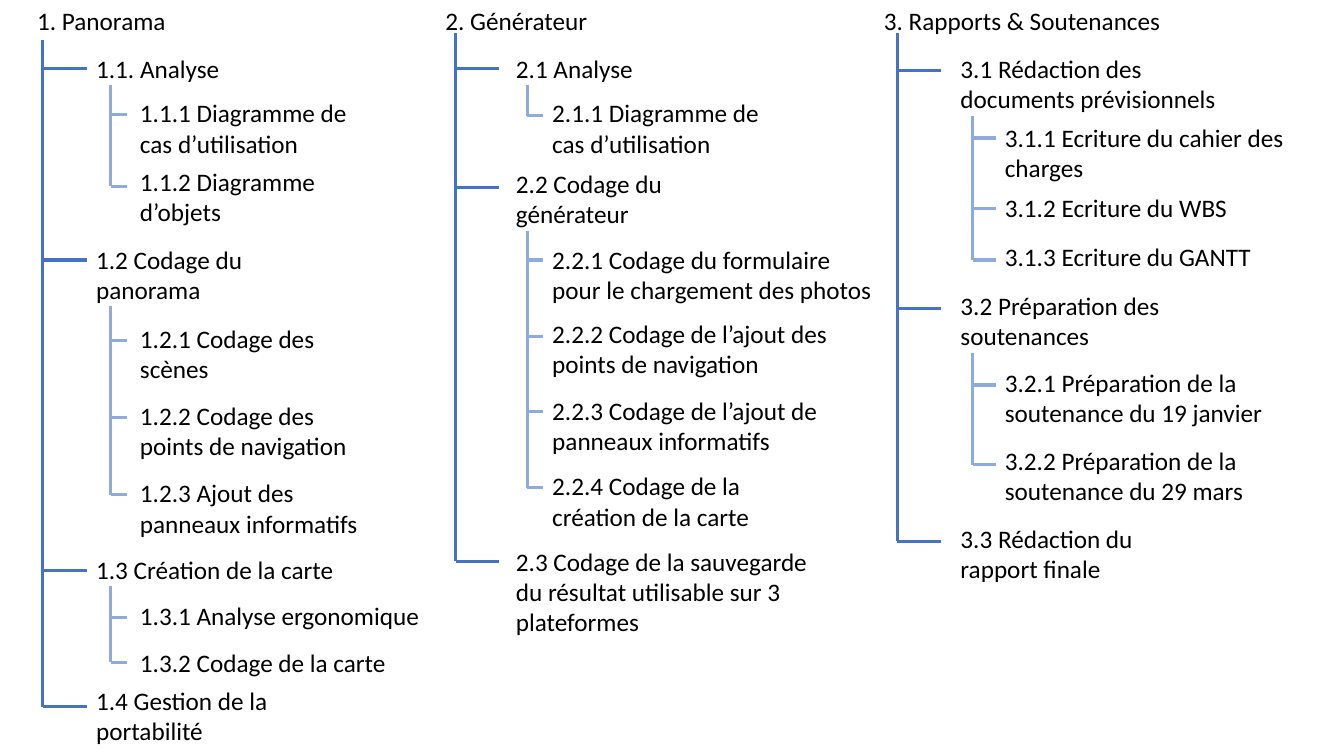
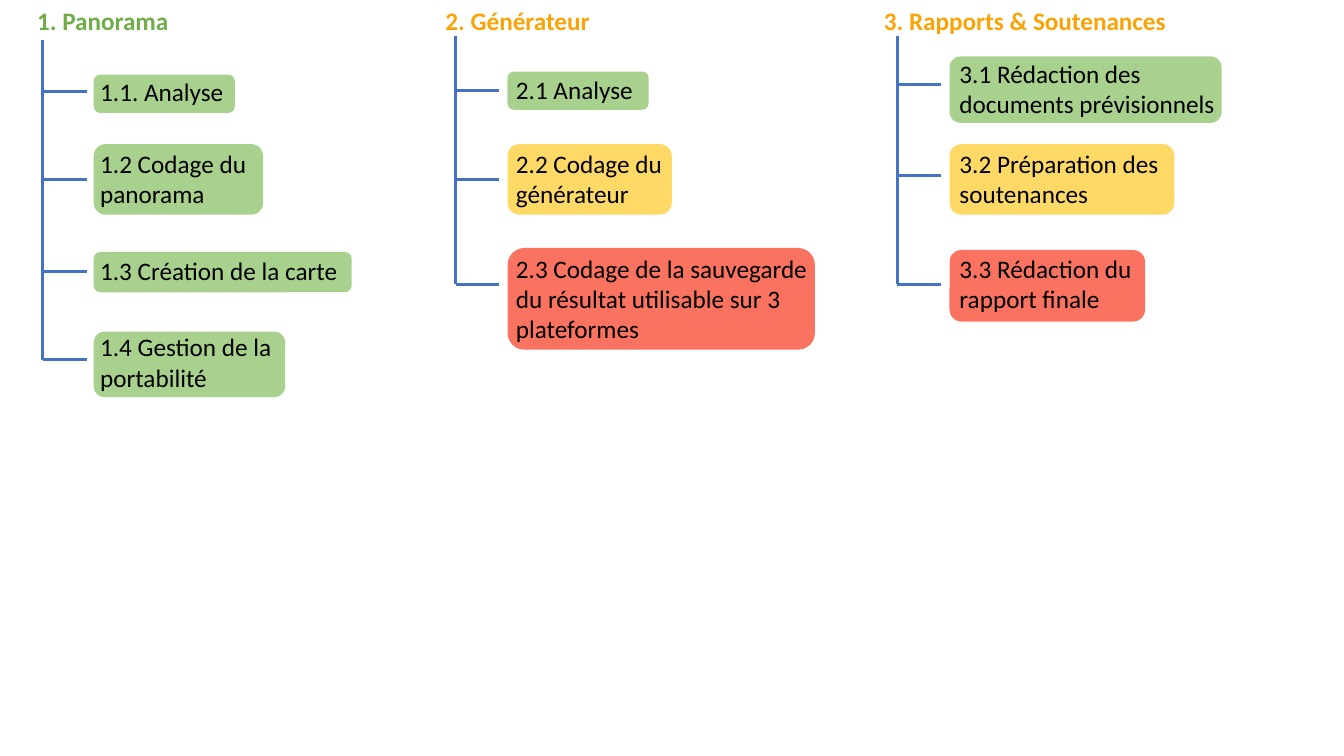
from dataclasses import dataclass

from lxml import etree
from pptx import Presentation
from pptx.dml.color import RGBColor
from pptx.enum.shapes import MSO_CONNECTOR, MSO_SHAPE
from pptx.enum.text import MSO_AUTO_SIZE
from pptx.oxml.ns import qn
from pptx.util import Inches, Pt


@dataclass(frozen=True)
class Theme:
    font: str = "Calibri"
    size: int = 18
    line_width: float = 2.25
    ink: str = "000000"
    trunk: str = "4472C4"
    rail: str = "8FAADC"
    done: str = "A9D18E"
    ongoing: str = "FFD966"
    waiting: str = "FA7260"
    done_title: str = "70AD47"
    ongoing_title: str = "F9A307"


THEME = Theme()

# Grid: square cells, ten to the inch; all lengths below are in cells
CELL = Inches(0.1)
COLUMNS, ROWS = 133.33, 75
MARGIN_ROWS, LINE_ROWS = 1, 3.05
BRANCH = 4.35


def cells(count):
    return round(count * CELL)


def text_rows(lines):
    return MARGIN_ROWS + lines * LINE_ROWS


# Content model
@dataclass(frozen=True)
class Step:
    text: str
    width: float
    lines: int
    top: float
    tick: float


@dataclass(frozen=True)
class Status:
    color: str
    text_top: float
    tick: float
    card_top: float
    card_width: float
    card_height: float


@dataclass(frozen=True)
class Task(Step):
    status: Status
    steps: tuple = ()


@dataclass(frozen=True)
class Phase:
    title: str
    title_color: str
    title_width: float
    left: float
    trunk: float
    trunk_top: float
    status_trunk_top: float
    task_left: float
    status_left: float
    card_left: float
    rail: float
    twig: float
    step_left: float
    tasks: tuple


PHASES = (
    Phase(
        "1. Panorama", THEME.done_title, 16.3, left=2.7,
        trunk=4.25, trunk_top=4, status_trunk_top=4,
        task_left=8.55, status_left=8.95, card_left=9.3,
        rail=11, twig=1.6, step_left=12.9,
        tasks=(
            Task("1.1. Analyse", 21.5, 1, 4.8, 6.8,
                 Status(THEME.done, 7.1, 9.1, 7.4, 14, 3.8), (
                     Step("1.1.1 Diagramme de cas d’utilisation", 22.5, 2, 9.2, 11.4),
                     Step("1.1.2 Diagramme d’objets", 21.1, 2, 16, 18.5))),
            Task("1.2 Codage du panorama", 26.8, 2, 23.7, 25.8,
                 Status(THEME.done, 14.2, 17.8, 14.3, 16.8, 7), (
                     Step("1.2.1 Codage des scènes", 21.5, 2, 31.6, 33.8),
                     Step("1.2.2 Codage des points de navigation", 24.3, 2, 39.2, 41.4),
                     Step("1.2.3 Ajout des panneaux informatifs", 24.3, 2, 46.9, 49.1))),
            Task("1.3 Création de la carte", 29.6, 1, 54.5, 56.6,
                 Status(THEME.done, 24.8, 26.9, 25, 25.6, 4), (
                     Step("1.3.1 Analyse ergonomique", 31, 1, 59.1, 61.3),
                     Step("1.3.2 Codage de la carte", 31, 1, 63.7, 65.7))),
            Task("1.4 Gestion de la portabilité", 28.7, 2, 67.5, 70.1,
                 Status(THEME.done, 32.4, 35.7, 32.9, 19, 6.5)),
        )),
    Phase(
        "2. Générateur", THEME.ongoing_title, 17.2, left=43.2,
        trunk=45.2, trunk_top=3.3, status_trunk_top=3.6,
        task_left=50.2, status_left=50.2, card_left=50.35,
        rail=52.3, twig=1.6, step_left=53.8,
        tasks=(
            Task("2.1 Analyse", 25.6, 1, 4.8, 6.8,
                 Status(THEME.done, 6.9, 9, 7.1, 14, 3.8), (
                     Step("2.1.1 Diagramme de cas d’utilisation", 22.5, 2, 9.2, 11.5),)),
            Task("2.2 Codage du générateur", 20.3, 2, 16.2, 18.6,
                 Status(THEME.ongoing, 14.2, 17.8, 14.3, 16.3, 7), (
                     Step("2.2.1 Codage du formulaire pour le chargement des photos",
                          33.9, 2, 23.7, 25.8),
                     Step("2.2.2 Codage de l’ajout des points de navigation",
                          29.4, 2, 31.1, 33.4),
                     Step("2.2.3 Codage de l’ajout de panneaux informatifs",
                          31.8, 2, 38.7, 40.8),
                     Step("2.2.4 Codage de la création de la carte",
                          29.5, 2, 46.2, 48.4))),
            Task("2.3 Codage de la sauvegarde du résultat utilisable sur 3 plateformes",
                 32.4, 3, 53.7, 55.7,
                 Status(THEME.waiting, 24.6, 28.2, 24.6, 30.5, 10.1)),
        )),
    Phase(
        "3. Rapports & Soutenances", THEME.ongoing_title, 31.2, left=86.7,
        trunk=89, trunk_top=3.3, status_trunk_top=3.6,
        task_left=94.3, status_left=94.2, card_left=94.2,
        rail=96.5, twig=2.35, step_left=98.7,
        tasks=(
            Task("3.1 Rédaction des documents prévisionnels", 29.8, 2, 4.8, 7,
                 Status(THEME.done, 5.3, 8.4, 5.6, 27, 6.6), (
                     Step("3.1.1 Ecriture du cahier des charges", 29.8, 2, 11.6, 13.7),
                     Step("3.1.2 Ecriture du WBS", 29.8, 1, 18.6, 20.7),
                     Step("3.1.3 Ecriture du GANTT", 28.8, 1, 23.4, 25.8))),
            Task("3.2 Préparation des soutenances", 28.8, 2, 28.3, 30.6,
                 Status(THEME.ongoing, 14.2, 17.4, 14.3, 22.3, 7), (
                     Step("3.2.1 Préparation de la soutenance du 19 janvier",
                          28.8, 2, 35.9, 38.2),
                     Step("3.2.2 Préparation de la soutenance du 29 mars",
                          28.8, 2, 43.7, 46.1))),
            Task("3.3 Rédaction du rapport finale", 25.8, 2, 51.4, 53.7,
                 Status(THEME.waiting, 24.6, 28.2, 24.8, 19.4, 7.1)),
        )),
)


class Deck:
    def __init__(self, theme):
        self.theme = theme
        self.file = Presentation()
        self.file.slide_width = cells(COLUMNS)
        self.file.slide_height = cells(ROWS)
        self.slide = None

    def new_slide(self):
        self.slide = self.file.slides.add_slide(self.file.slide_layouts[6])

    def text(self, words, left, top, width, lines=1, color=None, bold=False):
        box = self.slide.shapes.add_textbox(
            cells(left), cells(top), cells(width), cells(text_rows(lines)))
        frame = box.text_frame
        frame.word_wrap = True
        frame.auto_size = MSO_AUTO_SIZE.SHAPE_TO_FIT_TEXT
        run = frame.paragraphs[0].add_run()
        run.text = words
        run.font.name = self.theme.font
        run.font.size = Pt(self.theme.size)
        run.font.bold = bold
        run.font.color.rgb = RGBColor.from_string(color or self.theme.ink)

    def line(self, x1, y1, x2, y2, color):
        line = self.slide.shapes.add_connector(
            MSO_CONNECTOR.STRAIGHT, cells(x1), cells(y1), cells(x2), cells(y2))
        line.line.color.rgb = RGBColor.from_string(color)
        line.line.width = Pt(self.theme.line_width)
        etree.SubElement(line._element.spPr, qn("a:effectLst"))

    def bracket(self, x, top, ticks, length, color):
        """A vertical line down to the last tick, with its ticks."""
        self.line(x, top, x, ticks[-1], color)
        for y in ticks:
            self.line(x, y, x + length, y, color)

    def card(self, left, top, width, height, color):
        card = self.slide.shapes.add_shape(
            MSO_SHAPE.ROUNDED_RECTANGLE,
            cells(left), cells(top), cells(width), cells(height))
        card.shadow.inherit = False
        card.fill.solid()
        card.fill.fore_color.rgb = RGBColor.from_string(color)
        card.line.fill.background()

    def save(self):
        self.file.save("out.pptx")


deck = Deck(THEME)

# Slide 1: full breakdown of the work
deck.new_slide()
for phase in PHASES:
    deck.text(phase.title, phase.left, 0, phase.title_width)
    deck.bracket(phase.trunk, phase.trunk_top,
                 [task.tick for task in phase.tasks], BRANCH, THEME.trunk)
    for task in phase.tasks:
        deck.text(task.text, phase.task_left, task.top, task.width, task.lines)
        for step in task.steps:
            deck.text(step.text, phase.step_left, step.top, step.width, step.lines)
        if task.steps:
            deck.bracket(phase.rail, task.top + text_rows(task.lines) - 0.4,
                         [step.tick for step in task.steps], phase.twig, THEME.rail)

# Slide 2: status of the main tasks
deck.new_slide()
for phase in PHASES:
    deck.text(phase.title, phase.left, 0, phase.title_width,
              color=phase.title_color, bold=True)
    deck.bracket(phase.trunk, phase.status_trunk_top,
                 [task.status.tick for task in phase.tasks], BRANCH, THEME.trunk)
    for task in phase.tasks:
        status = task.status
        deck.card(phase.card_left, status.card_top,
                  status.card_width, status.card_height, status.color)
        deck.text(task.text, phase.status_left, status.text_top,
                  task.width, task.lines)

deck.save()
